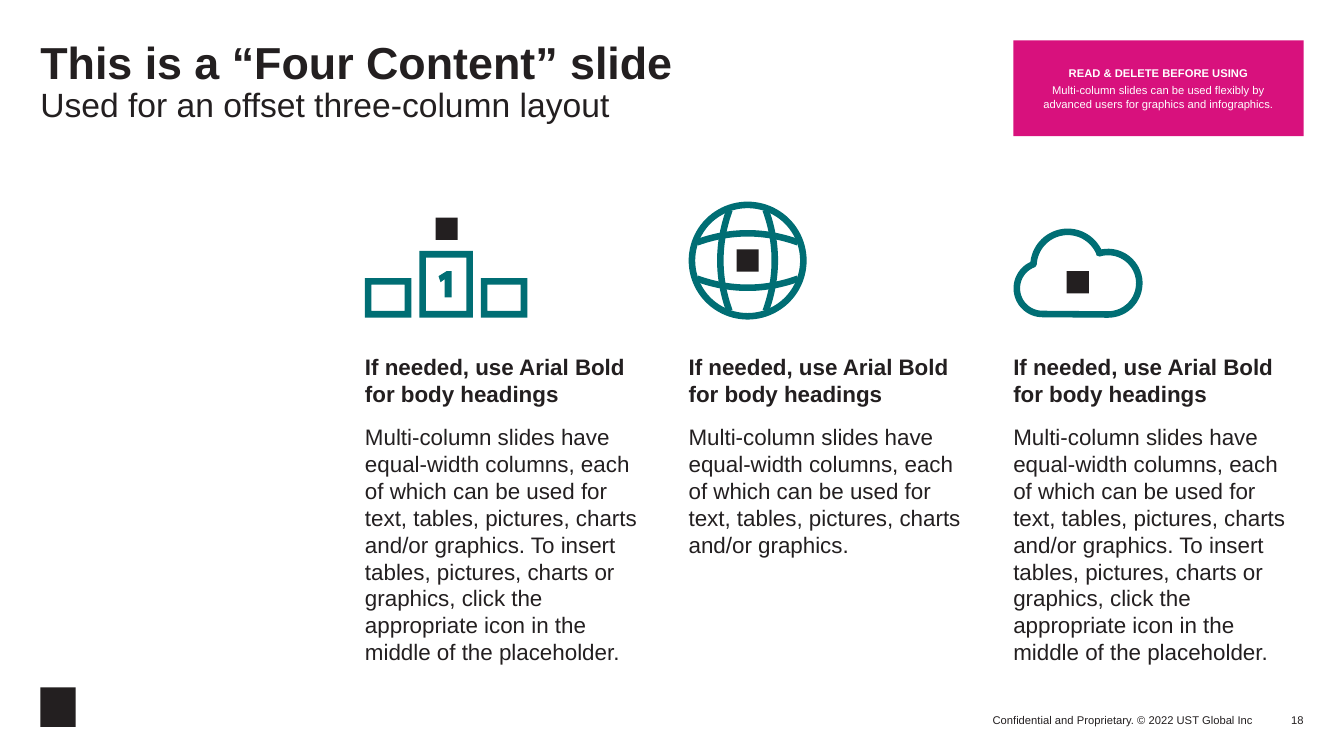
import math

from lxml import etree
from pptx import Presentation
from pptx.dml.color import RGBColor
from pptx.enum.shapes import MSO_SHAPE
from pptx.enum.text import MSO_ANCHOR, MSO_AUTO_SIZE, PP_ALIGN
from pptx.oxml.ns import qn
from pptx.util import Inches, Pt

INK = RGBColor(0x23, 0x1F, 0x20)
TEAL = RGBColor(0x00, 0x6E, 0x74)
PINK = RGBColor(0xD8, 0x11, 0x7D)
WHITE = RGBColor(0xFF, 0xFF, 0xFF)
RECTANGLE, OVAL = MSO_SHAPE.RECTANGLE, MSO_SHAPE.OVAL
TOP, MIDDLE, BOTTOM = MSO_ANCHOR.TOP, MSO_ANCHOR.MIDDLE, MSO_ANCHOR.BOTTOM
LEFT, CENTER, RIGHT = PP_ALIGN.LEFT, PP_ALIGN.CENTER, PP_ALIGN.RIGHT
NO_FIT = MSO_AUTO_SIZE.NONE

STROKE = 0.065
HARD_SPACE = chr(160)
HEADING = "If needed, use Arial Bold for body headings"
INTRO = (f"Multi-column slides have equal-width columns, each of{HARD_SPACE}which can be used for "
         "text, tables, pictures, charts and/or graphics.")
INSTRUCTION = (" To insert tables, pictures, charts or graphics, click the "
               "appropriate icon in the middle of the placeholder.")
ADVICE = ("Multi-column slides can be used flexibly by "
          f"advanced{HARD_SPACE}users for graphics and infographics.")


def apply(target, values):
    for name, value in values.items():
        setattr(target, name, value)


def place(part, box):
    apply(part, dict(zip(("left", "top", "width", "height"), map(Inches, box))))


def set_frame(frame, anchor, wrap=True):
    apply(frame, {"auto_size": NO_FIT, "word_wrap": wrap, "vertical_anchor": anchor,
                  "margin_left": 0, "margin_top": 0, "margin_right": 0, "margin_bottom": 0})


def add_run(paragraph, text, size, bold=False, color=INK):
    run = paragraph.add_run()
    run.text = text
    apply(run.font, {"name": "Arial", "size": Pt(size), "bold": bold})
    run.font.color.rgb = color


def add_heading_and_text(frame, heading, text, size, gap, align, color=INK):
    for index, words in enumerate((heading, text)):
        paragraph = frame.add_paragraph() if index else frame.paragraphs[0]
        properties = paragraph._p.get_or_add_pPr()
        for name in ("marL", "indent"):
            properties.set(name, "0")
        etree.SubElement(properties, qn("a:buNone"))
        apply(paragraph, {"alignment": align, "line_spacing": 1.0,
                          "space_before": Pt(gap * index)})
        add_run(paragraph, words, size, index == 0, color)


def set_solid(solid, color):
    solid.shadow.inherit = False
    solid.fill.solid()
    solid.fill.fore_color.rgb = color
    solid.line.fill.background()


def add_rectangle(slide, box, color):
    rectangle = slide.shapes.add_shape(RECTANGLE, *map(Inches, box))
    set_solid(rectangle, color)
    return rectangle


def set_stroke(outline):
    outline.shadow.inherit = False
    outline.fill.background()
    outline.line.color.rgb = TEAL
    outline.line.width = Inches(STROKE)


def add_outline(slide, left, top, contours, close=True):
    builder = slide.shapes.build_freeform(scale=1.0)
    for contour in contours:
        start, *corners = [(Inches(left + x), Inches(top + y)) for x, y in contour]
        builder.move_to(*start)
        builder.add_line_segments(corners, close=close)
    return builder.convert_to_shape()


def add_center_square(slide, left, top):
    add_rectangle(slide, (left, top, 0.22, 0.22), INK)


def add_podium(slide, left, top):
    contours = [((0.79, 0.95), (0.79, 0.77), (0.75, 0.8), (0.73, 0.74),
                 (0.81, 0.69), (0.86, 0.69), (0.86, 0.95))]
    for x1, y1, x2 in ((0, 0.76, 0.46), (0.54, 0.49, 1.07), (1.15, 0.76, 1.61)):
        y2 = 1.15
        contours.append(((x1, y1), (x2, y1), (x2, y2), (x1, y2)))
        x1, y1, x2, y2 = x1 + STROKE, y1 + STROKE, x2 - STROKE, y2 - STROKE
        contours.append(((x1, y1), (x1, y2), (x2, y2), (x2, y1)))
    set_solid(add_outline(slide, left, top, contours), TEAL)
    add_center_square(slide, left + 0.7, top + 0.16)


def add_globe(slide, left, top):
    center_x, center_y = left + 0.585, top + 0.585
    diameter = 1.17 - STROKE
    ring = slide.shapes.add_shape(OVAL, *map(Inches, (
        left + STROKE / 2, top + STROKE / 2, diameter, diameter)))
    set_stroke(ring)
    curves = []
    for side in (-1, 1):
        parallel = [(step / 24, side * (0.27 - 0.09 * (step / 12) ** 2))
                    for step in range(-12, 13)]
        meridian = [(across, along) for along, across in parallel]
        curves += [parallel, meridian]
    set_stroke(add_outline(slide, center_x, center_y, curves, False))
    add_center_square(slide, center_x - 0.11, center_y - 0.11)


def add_cloud(slide, left, top):
    points = []
    for x, y, radius, start, end in ((0.29, 0.86, 0.255, 90, 249),
                                     (0.54, 0.64, 0.34, 183, 337),
                                     (0.94, 0.81, 0.31, 253, 450)):
        for step in range(33):
            angle = math.radians(start + (end - start) * step / 32)
            points.append((x + radius * math.cos(angle), y + radius * math.sin(angle)))
    set_stroke(add_outline(slide, left, top, [points]))
    add_center_square(slide, left + 0.53, top + 0.69)


def add_title(title, box):
    place(title, box)
    set_frame(title.text_frame, TOP)
    paragraph = title.text_frame.paragraphs[0]
    apply(paragraph, {"alignment": LEFT, "line_spacing": 0.9})
    add_run(paragraph, "This is a “Four Content” slide", 32, True)
    paragraph.add_line_break()
    add_run(paragraph, "Used for an offset three-column layout", 24)


def add_column(slide, body, box, add_icon, text):
    left, top, width, height = box
    add_icon(slide, left, top)
    place(body, (left, top + 1.5, width, height - 1.5))
    set_frame(body.text_frame, TOP)
    add_heading_and_text(body.text_frame, HEADING, text, 16, 12, LEFT)


def add_notice(slide, box):
    notice = add_rectangle(slide, box, PINK)
    apply(notice.text_frame, {"word_wrap": True, "vertical_anchor": MIDDLE})
    add_heading_and_text(notice.text_frame, "READ & DELETE BEFORE USING", ADVICE,
                         8, 3, CENTER, WHITE)


def add_footer(slide, box):
    left, top, width, height = box
    add_rectangle(slide, (left, top, 0.35, height), INK)
    right = left + width
    for text, x, item_width, wrap in (
            ("Confidential and Proprietary. © 2022 UST Global Inc", right - 3.94, 3.44, False),
            ("18", right - 0.5, 0.5, True)):
        item = slide.shapes.add_textbox(*map(Inches, (x, top + height - 0.2, item_width, 0.2)))
        set_frame(item.text_frame, BOTTOM, wrap)
        paragraph = item.text_frame.paragraphs[0]
        paragraph.alignment = RIGHT
        add_run(paragraph, text, 8)


def main():
    presentation = Presentation()
    apply(presentation, {"slide_width": Inches(13.33), "slide_height": Inches(7.5)})
    slide = presentation.slides.add_slide(presentation.slide_layouts.get_by_name("Comparison"))
    title, *bodies, spare = slide.placeholders
    spare.element.getparent().remove(spare.element)

    add_footer(slide, (0.4, 6.82, 12.53, 0.39))
    add_title(title, (0.4, 0.4, 12.53, 1))
    columns = ((3.62, add_podium, INTRO + INSTRUCTION), (6.83, add_globe, INTRO),
               (10.05, add_cloud, INTRO + INSTRUCTION))
    for body, (left, add_icon, text) in zip(bodies, columns):
        add_column(slide, body, (left, 2, 2.88, 4.65), add_icon, text)
    add_notice(slide, (10.05, 0.4, 2.88, 0.95))
    presentation.save("out.pptx")


if __name__ == "__main__":
    main()
